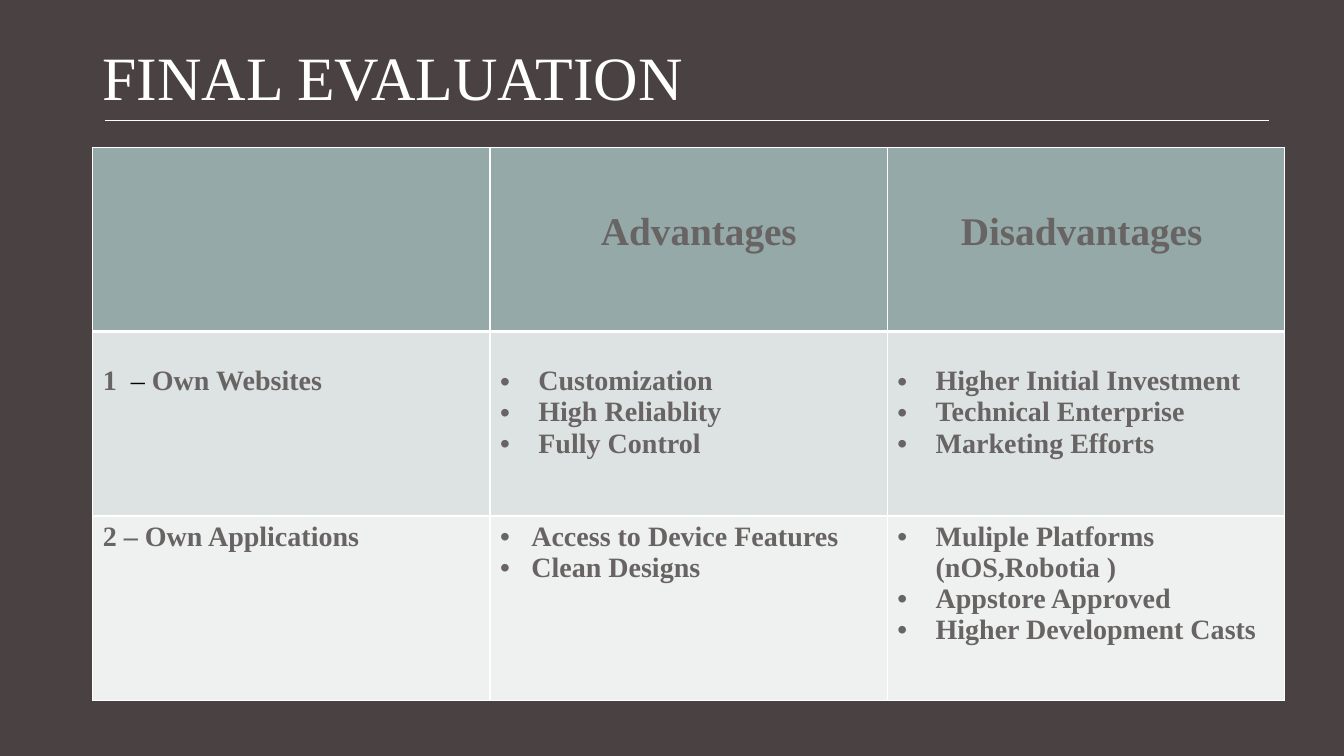
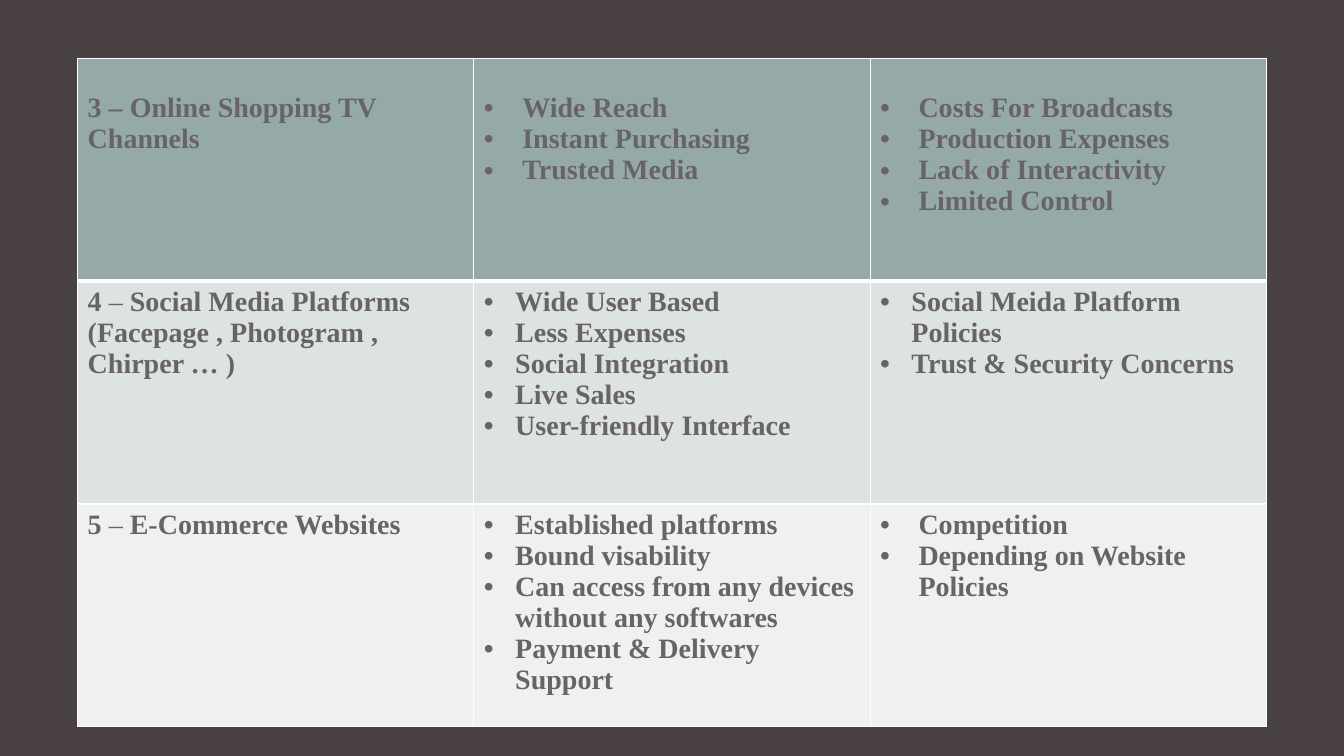
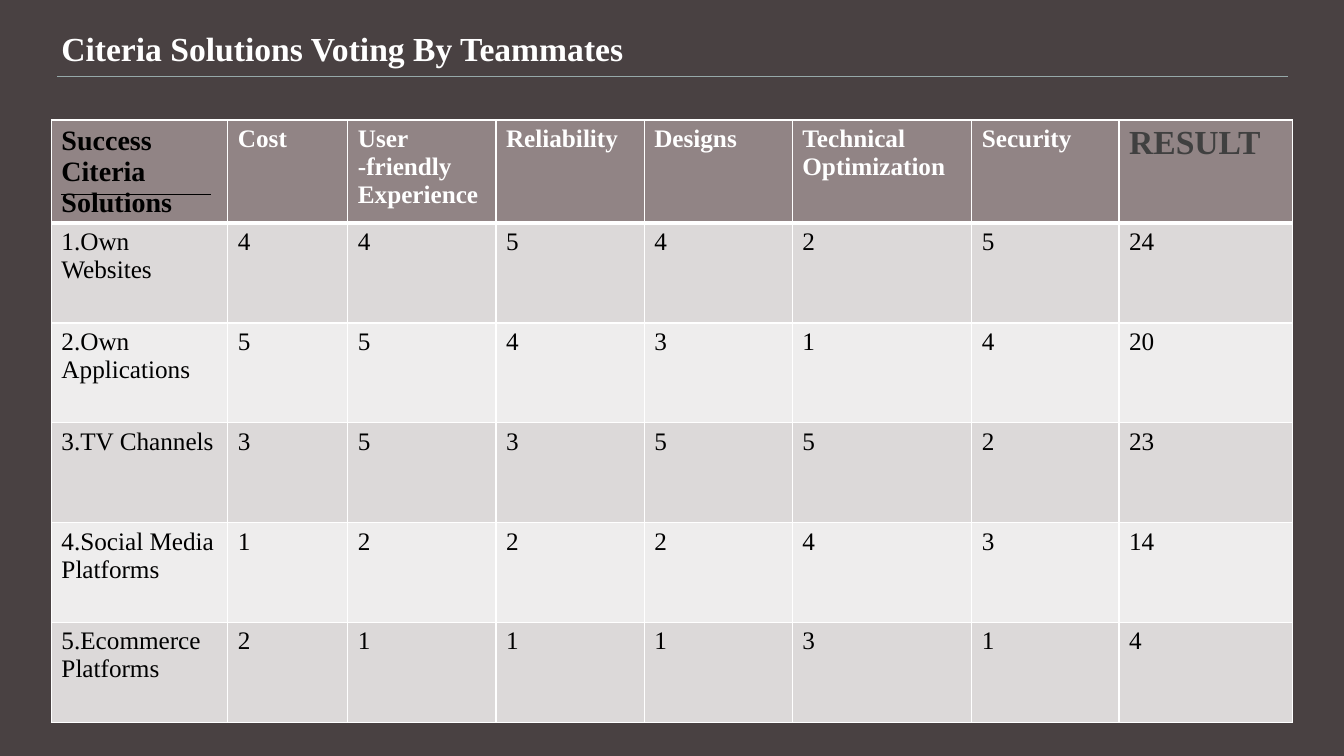
from dataclasses import dataclass

from lxml import etree
from pptx import Presentation
from pptx.dml.color import RGBColor
from pptx.enum.shapes import MSO_CONNECTOR
from pptx.enum.text import MSO_ANCHOR
from pptx.oxml.ns import qn
from pptx.util import Inches, Pt

STRAIGHT = MSO_CONNECTOR.STRAIGHT
TOP = MSO_ANCHOR.TOP
MIDDLE = MSO_ANCHOR.MIDDLE

FONT = "Times New Roman"
BACKGROUND = RGBColor(0x49, 0x41, 0x42)
WHITE = RGBColor(0xFF, 0xFF, 0xFF)
BLACK = RGBColor(0x00, 0x00, 0x00)
GRAY = RGBColor(0x69, 0x64, 0x64)
DARK_GRAY = RGBColor(0x40, 0x40, 0x40)
TEAL = RGBColor(0x96, 0xA9, 0xA9)
TEAL_BANDS = (RGBColor(0xDD, 0xE2, 0xE2), RGBColor(0xEF, 0xF1, 0xF1))
MAUVE = RGBColor(0x91, 0x84, 0x85)
MAUVE_BANDS = (RGBColor(0xDC, 0xD9, 0xD9), RGBColor(0xEE, 0xED, 0xED))

LINE_GAP = 0.29  # height of one 18 pt line, in inches
CELL_MARGIN = 0.05
WIDE = 0.38
NARROW = 0.31


@dataclass
class Cell:
    """Paragraphs are strings or lists of (text, run format); lengths are inches."""
    paragraphs: list
    size: int = 20
    color: RGBColor = GRAY
    bold: bool = True
    gap: float = 0
    indent: float = 0
    bullet_indent: float = 0


def write_text(text_frame, paragraphs, size, color, bold=False,
               indent=0, bullet_indent=0, line_spacing=None):
    for index, content in enumerate(paragraphs):
        paragraph = text_frame.paragraphs[0] if index == 0 else text_frame.add_paragraph()
        if line_spacing:
            paragraph.line_spacing = line_spacing
        properties = paragraph._p.get_or_add_pPr()
        properties.set("marL", str(Inches(indent + bullet_indent)))
        properties.set("indent", str(-Inches(bullet_indent)))
        if bullet_indent:
            etree.SubElement(properties, qn("a:buFont"), typeface="Arial")
            etree.SubElement(properties, qn("a:buChar"), char="•")
        runs = [(content, {})] if isinstance(content, str) else content
        for text, run_format in runs:
            run = paragraph.add_run()
            run.text = text
            run.font.name = FONT
            run.font.size = Pt(size)
            run.font.bold = run_format.get("bold", bold)
            run.font.color.rgb = run_format.get("color", color)


def add_title(slide, text, left, top, width, height, size,
              bold=False, anchor=TOP, line_spacing=None):
    text_box = slide.shapes.add_textbox(Inches(left), Inches(top), Inches(width), Inches(height))
    text_box.text_frame.word_wrap = True
    text_box.text_frame.vertical_anchor = anchor
    write_text(text_box.text_frame, [text], size, WHITE, bold, line_spacing=line_spacing)


def add_rule(slide, left, right, top, color):
    rule = slide.shapes.add_connector(STRAIGHT, Inches(left), Inches(top),
                                      Inches(right), Inches(top))
    rule.line.color.rgb = color
    rule.line.width = Pt(0.5)
    etree.SubElement(rule._element.spPr, qn("a:effectLst"))


def set_borders(cell, top_width, bottom_width):
    properties = cell._tc.get_or_add_tcPr()
    widths = {"lnL": 1, "lnR": 1, "lnT": top_width, "lnB": bottom_width}
    for side, width in widths.items():
        border = etree.SubElement(properties, qn(f"a:{side}"), w=str(Pt(width)))
        fill = etree.SubElement(border, qn("a:solidFill"))
        etree.SubElement(fill, qn("a:srgbClr"), val=str(WHITE))


def add_table(slide, left, top, column_widths, row_height, rows, header_fill, band_fills):
    frame = slide.shapes.add_table(len(rows), len(column_widths), Inches(left), Inches(top),
                                   Inches(sum(column_widths)), Inches(row_height * len(rows)))
    table = frame.table
    table.first_row = table.horz_banding = False
    for column, width in zip(table.columns, column_widths):
        column.width = Inches(width)
    for row_index, row in enumerate(rows):
        table.rows[row_index].height = Inches(row_height)
        fill = header_fill if row_index == 0 else band_fills[(row_index - 1) % 2]
        for column_index, content in enumerate(row):
            cell = table.cell(row_index, column_index)
            set_borders(cell, 3 if row_index == 1 else 1, 3 if row_index == 0 else 1)
            cell.fill.solid()
            cell.fill.fore_color.rgb = fill
            cell.margin_top = Inches(CELL_MARGIN + content.gap)
            write_text(cell.text_frame, content.paragraphs, content.size, content.color,
                       content.bold, content.indent, content.bullet_indent)


def bullets(*items, indent=WIDE, gap=0):
    return Cell(list(items), bullet_indent=indent, gap=gap)


def heading(text, indent):
    return Cell([text], size=28, gap=2 * LINE_GAP, indent=indent)


def numbered(number, name):
    """Runs of a row label whose dash is not bold."""
    return [(f"{number} ", {}), ("– ", {"bold": False}), (name, {})]


def new_slide(presentation):
    slide = presentation.slides.add_slide(presentation.slide_layouts[6])
    slide.background.fill.solid()
    slide.background.fill.fore_color.rgb = BACKGROUND
    return slide


def build_evaluation(presentation):
    slide = new_slide(presentation)
    add_title(slide, "FINAL EVALUATION", 0.92, 0.4, 10.81, 0.79, 44,
              anchor=MIDDLE, line_spacing=0.9)
    own_websites = [("1  ", {}), ("–", {"bold": False, "color": BLACK}), (" Own Websites", {})]
    rows = [
        [Cell([]), heading("Advantages", 1), heading("Disadvantages", 0.63)],
        [Cell([own_websites], gap=LINE_GAP),
         bullets("Customization", "High Reliablity", "Fully Control", gap=LINE_GAP),
         bullets("Higher Initial Investment", "Technical Enterprise", "Marketing Efforts",
                 gap=LINE_GAP)],
        [Cell(["2 – Own Applications"]),
         bullets("Access to Device Features", "Clean Designs", indent=NARROW),
         bullets("Muliple Platforms (nOS,Robotia )", "Appstore Approved",
                 "Higher Development Casts")],
    ]
    add_table(slide, 0.92, 1.46, [3.94] * 3, 1.83, rows, TEAL, TEAL_BANDS)
    add_rule(slide, 1.04, 12.59, 1.19, WHITE)


def build_evaluation_continued(presentation):
    slide = new_slide(presentation)
    rows = [
        [Cell(["3 – Online Shopping TV Channels"], gap=LINE_GAP),
         bullets("Wide Reach", "Instant Purchasing", "Trusted Media", gap=LINE_GAP),
         bullets("Costs For Broadcasts", "Production Expenses", "Lack of Interactivity",
                 "Limited Control", gap=LINE_GAP)],
        [Cell([numbered(4, "Social Media Platforms"), "(Facepage , Photogram , Chirper … )"]),
         bullets("Wide User Based", "Less Expenses", "Social Integration", "Live Sales",
                 "User-friendly Interface", indent=NARROW),
         bullets("Social Meida Platform Policies", "Trust & Security Concerns",
                 indent=NARROW)],
        [Cell([numbered(5, "E-Commerce Websites")]),
         bullets("Established platforms", "Bound visability",
                 "Can access from any devices without any softwares",
                 "Payment & Delivery Support", indent=NARROW),
         bullets("Competition", "Depending on Website Policies")],
    ]
    add_table(slide, 0.77, 0.58, [3.93] * 3, 2.21, rows, TEAL, TEAL_BANDS)


def build_voting(presentation):
    slide = new_slide(presentation)
    criteria = [["Cost"], ["User -friendly", "Experience"], ["Reliability"], ["Designs"],
                ["Technical", "Optimization"], ["Security"]]
    votes = [
        (["1.Own", "Websites"], (4, 4, 5, 4, 2, 5, 24)),
        (["2.Own", "Applications"], (5, 5, 4, 3, 1, 4, 20)),
        (["3.TV Channels"], (3, 5, 3, 5, 5, 2, 23)),
        (["4.Social Media Platforms"], (1, 2, 2, 2, 4, 3, 14)),
        (["5.Ecommerce", "Platforms"], (2, 1, 1, 1, 3, 1, 4)),
    ]
    header = [Cell(["Success Citeria", "Solutions"], color=BLACK)]
    header += [Cell(name, size=18, color=WHITE) for name in criteria]
    header.append(Cell(["RESULT"], size=24, color=DARK_GRAY))
    rows = [header]
    for solution, scores in votes:
        texts = [solution] + [[str(score)] for score in scores]
        rows.append([Cell(text, size=18, color=BLACK, bold=False) for text in texts])
    add_table(slide, 0.51, 1.19, [1.75, 1.19, 1.47, 1.47, 1.47, 1.78, 1.46, 1.72], 0.99,
              rows, MAUVE, MAUVE_BANDS)
    add_rule(slide, 0.61, 2.09, 1.93, BLACK)
    add_title(slide, "Citeria Solutions Voting By Teammates", 0.51, 0.23, 10.9, 0.5, 24,
              bold=True)
    add_rule(slide, 0.57, 12.77, 0.76, TEAL)


def main():
    presentation = Presentation()
    presentation.slide_width = Inches(13.33)
    presentation.slide_height = Inches(7.5)
    build_evaluation(presentation)
    build_evaluation_continued(presentation)
    build_voting(presentation)
    presentation.save("out.pptx")


if __name__ == "__main__":
    main()
